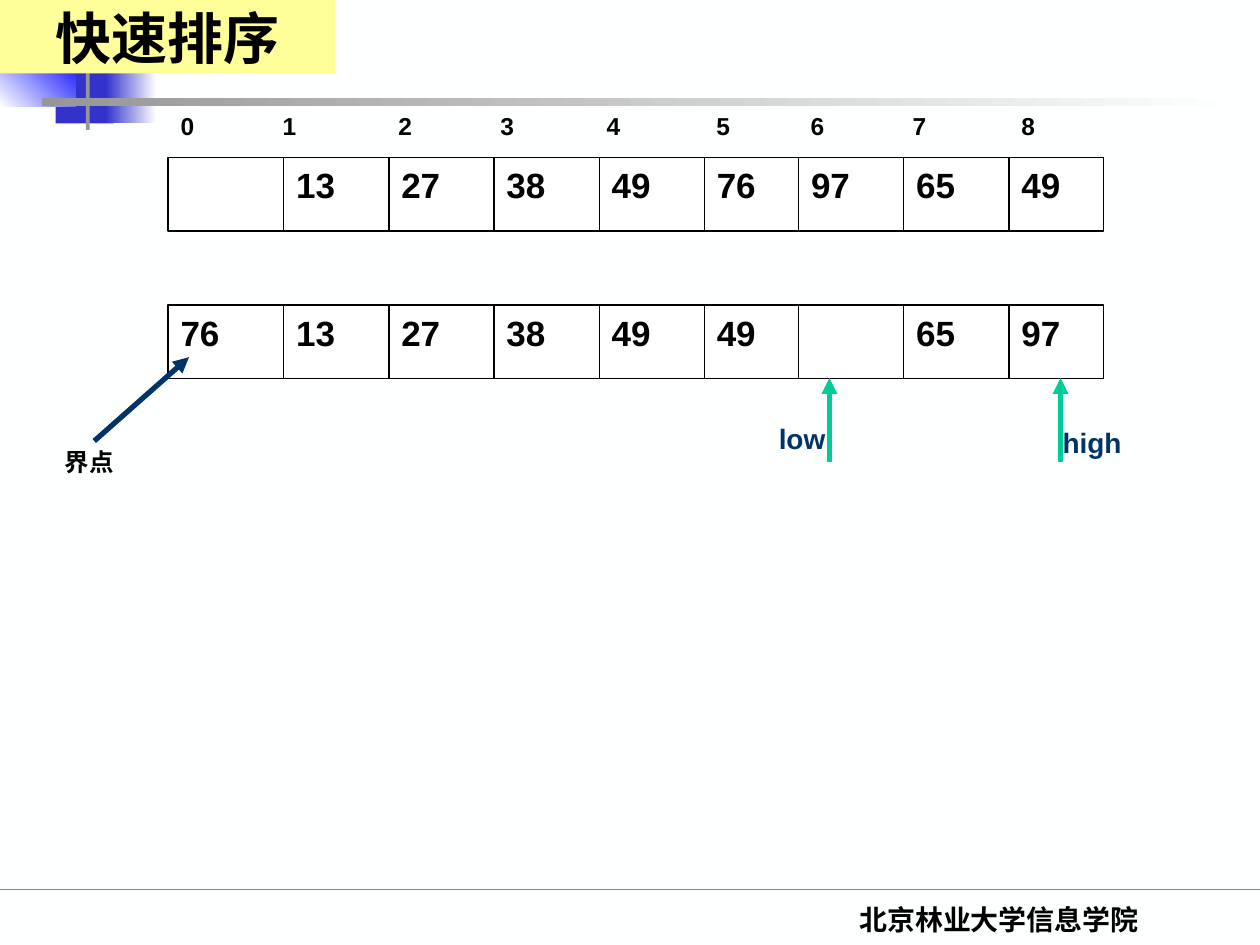
from itertools import accumulate

from lxml import etree
from pptx import Presentation
from pptx.dml.color import RGBColor
from pptx.enum.shapes import MSO_CONNECTOR, MSO_SHAPE
from pptx.enum.text import MSO_ANCHOR, PP_ALIGN
from pptx.oxml.ns import qn
from pptx.util import Cm, Pt

RECT = MSO_SHAPE.RECTANGLE
STRAIGHT = MSO_CONNECTOR.STRAIGHT
CENTER = PP_ALIGN.CENTER
MIDDLE = MSO_ANCHOR.MIDDLE

COLORS = {
    "paper": "FEFFFF", "cell": "FFFFFF", "ink": "000000", "title": "FFFF99",
    "navy": "003366", "green": "00CC99", "indigo": "3333CC",
    "blue": "0000FF", "gray": "969696",
}
TITLE = "快速排序"
FOOTER = "北京林业大学信息学院"
PIVOT_LABEL = "界点"
INDEXES = ["0", "1", "2", "3", "4", "5", "6", "7", "8"]
INDEX_TABS = [2.06, 4.39, 6.45, 8.59, 10.8, 12.7, 14.76, 16.95]
ARRAYS = [
    (3.18, ["", "13", "27", "38", "49", "76", "97", "65", "49"]),
    (6.15, ["76", "13", "27", "38", "49", "49", "", "65", "97"]),
]
POINTERS = [
    ("low", 16.72, 15.45, 8.38),
    ("high", 21.38, 21.17, 8.46),
]
ORNAMENTS = [
    (1.12, 1.17, 1.17, 1.32, ["indigo"], 0),
    (2.13, 1.17, 1.02, 1.32, ["indigo", "paper"], 0),
    (0, 0.97, 1.52, 1.17, ["paper", "blue"], 45),
    (1.73, 0, 0.08, 2.62, ["gray"], 0),
    (0.84, 1.98, 24.16, 0.15, ["gray", "paper"], 0),
]

ARRAY_LEFT, CELL_HEIGHT = 3.39, 1.48
CELL_WIDTHS = [2.33, 2.12, 2.12, 2.12, 2.12, 1.9, 2.12, 2.12, 1.9]
EDGES = list(accumulate(CELL_WIDTHS, initial=ARRAY_LEFT))
ARRAY_WIDTH = EDGES[-1] - ARRAY_LEFT


def rgb(color):
    return RGBColor.from_string(COLORS[color])


def add_rect(slide, left, top, width, height, fills, angle=0, outline=None):
    rect = slide.shapes.add_shape(RECT, Cm(left), Cm(top), Cm(width), Cm(height))
    rect.shadow.inherit = False
    if len(fills) == 1:
        rect.fill.solid()
        rect.fill.fore_color.rgb = rgb(fills[0])
    else:
        rect.fill.gradient()
        rect.fill.gradient_angle = angle
        for stop, color in zip(rect.fill.gradient_stops, fills):
            stop.color.rgb = rgb(color)
    if outline:
        rect.line.color.rgb = rgb(outline)
        rect.line.width = Pt(0.75)
    else:
        rect.line.fill.background()
    return rect


def add_line(slide, x1, y1, x2, y2, color, width=0.75, arrow=False):
    line = slide.shapes.add_connector(STRAIGHT, Cm(x1), Cm(y1), Cm(x2), Cm(y2))
    line.line.color.rgb = rgb(color)
    line.line.width = Pt(width)
    if arrow:
        etree.SubElement(line.line._get_or_add_ln(), qn("a:tailEnd"), type="triangle")
    etree.SubElement(line._element.spPr, qn("a:effectLst"))


def write(frame, text, size, color="ink", font="Arial", align=None):
    frame.word_wrap = True
    paragraph = frame.paragraphs[0]
    paragraph.alignment = align
    run = paragraph.add_run()
    run.text = text
    run.font.size = Pt(size)
    run.font.name = font
    run.font.bold = True
    run.font.color.rgb = rgb(color)
    return paragraph


def add_text(slide, left, top, width, height, text, size, **style):
    box = slide.shapes.add_textbox(Cm(left), Cm(top), Cm(width), Cm(height))
    return write(box.text_frame, text, size, **style)


def add_indexes(slide):
    paragraph = add_text(slide, ARRAY_LEFT, 2.12, ARRAY_WIDTH, 0.86, "\t".join(INDEXES), 14)
    tabs = etree.SubElement(paragraph._p.get_or_add_pPr(), qn("a:tabLst"))
    for position in INDEX_TABS:
        etree.SubElement(tabs, qn("a:tab"), pos=str(Cm(position)), algn="l")


def add_array(slide, top, values):
    add_rect(slide, ARRAY_LEFT, top, ARRAY_WIDTH, CELL_HEIGHT, ["cell"], outline="ink")
    for edge in EDGES[1:-1]:
        add_line(slide, edge, top, edge, top + CELL_HEIGHT, "ink")
    for edge, value in zip(EDGES, values):
        if value:
            add_text(slide, edge, top, 1.69, 1.11, value, 20)


def main():
    deck = Presentation()
    deck.slide_width, deck.slide_height = Cm(25.4), Cm(19.05)
    slide = deck.slides.add_slide(deck.slide_layouts[6])
    slide.background.fill.solid()
    slide.background.fill.fore_color.rgb = rgb("paper")

    add_line(slide, 0, 17.93, 25.4, 17.93, "green")
    for left, top, width, height, fills, angle in ORNAMENTS:
        add_rect(slide, left, top, width, height, fills, angle)
    add_text(slide, 14.88, 18.06, 10.52, 0.99, FOOTER, 16,
             font="Times New Roman", align=CENTER)

    add_indexes(slide)
    for top, values in ARRAYS:
        add_array(slide, top, values)
    for label, arrow_x, label_left, label_top in POINTERS:
        add_line(slide, arrow_x, 9.31, arrow_x, 7.62, "green", 3, arrow=True)
        add_text(slide, label_left, label_top, 2.33, 0.94, label, 16, color="navy")
    add_text(slide, 1.06, 8.89, 2.12, 0.86, PIVOT_LABEL, 14)
    add_line(slide, 1.9, 8.89, 3.81, 7.2, "navy", 3, arrow=True)

    title = add_rect(slide, 0, 0, 6.77, 1.48, ["title"])
    title.text_frame.vertical_anchor = MIDDLE
    write(title.text_frame, TITLE, 32, font="Times New Roman", align=CENTER)

    deck.save("out.pptx")


if __name__ == "__main__":
    main()
